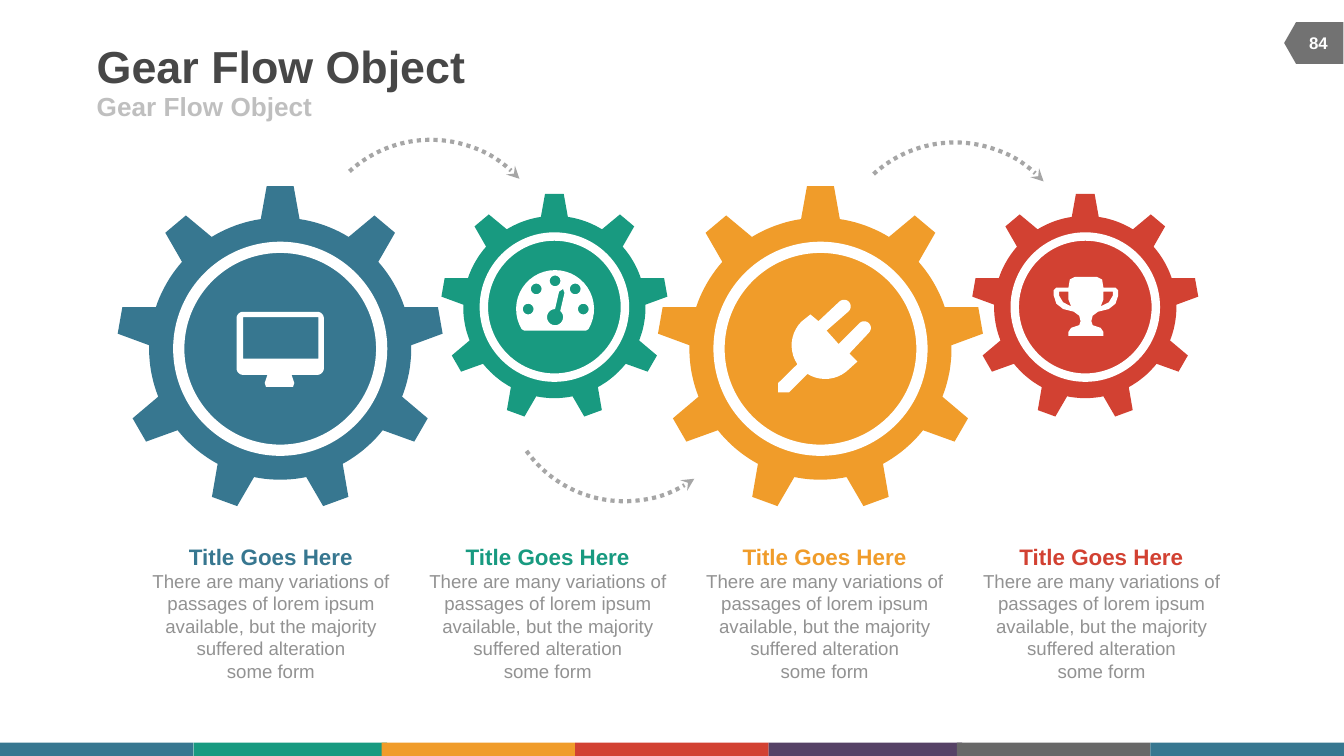
from math import cos, radians, sin

from lxml import etree
from pptx import Presentation
from pptx.dml.color import RGBColor
from pptx.enum.dml import MSO_LINE
from pptx.enum.shapes import MSO_SHAPE
from pptx.enum.text import MSO_ANCHOR, PP_ALIGN
from pptx.oxml.ns import qn
from pptx.util import Emu, Pt

PX = 9144  # EMU in one px, 100 px to the inch
SLIDE_WIDTH, SLIDE_HEIGHT = 1000, 562.5
RECTANGLE, OVAL, ARC = MSO_SHAPE.RECTANGLE, MSO_SHAPE.OVAL, MSO_SHAPE.ARC
PAGE_TAG = MSO_SHAPE.FLOWCHART_OFFPAGE_CONNECTOR
DOTTED = MSO_LINE.ROUND_DOT
TOP, MIDDLE = MSO_ANCHOR.TOP, MSO_ANCHOR.MIDDLE
LEFT, CENTER = PP_ALIGN.LEFT, PP_ALIGN.CENTER

WHITE = RGBColor(0xFF, 0xFF, 0xFF)
BLUE = RGBColor(0x37, 0x77, 0x90)
GREEN = RGBColor(0x18, 0x9A, 0x80)
ORANGE = RGBColor(0xF0, 0x9C, 0x2A)
RED = RGBColor(0xD2, 0x41, 0x32)
PURPLE = RGBColor(0x56, 0x42, 0x66)
GRAY = RGBColor(0x68, 0x68, 0x68)
TAG_GRAY = RGBColor(0x72, 0x72, 0x72)
ARROW_GRAY = RGBColor(0xA6, 0xA6, 0xA6)
TITLE_GRAY = RGBColor(0x47, 0x47, 0x47)
SUBTITLE_GRAY = RGBColor(0xBF, 0xBF, 0xBF)
BODY_GRAY = RGBColor(0x92, 0x92, 0x92)

TEETH = 9
DISC = 151  # diameter of the disc in a full-size gear
BODY_TEXT = ("There are many variations of passages of lorem ipsum available, "
             "but the majority suffered alteration\vsome form")


def px(*lengths):
    return [Emu(round(length * PX)) for length in lengths]


def arc_points(x, y, radius, start, end, steps=10):
    """Points on a circle; degrees run clockwise from the right."""
    angles = [radians(start + (end - start) * i / steps) for i in range(steps + 1)]
    return [(x + radius * cos(a), y + radius * sin(a)) for a in angles]


def mirrored(points, axis):
    return [(2 * axis - x, y) for x, y in reversed(points)]


def paint(shape, fill):
    shape.shadow.inherit = False
    shape.fill.solid()
    shape.fill.fore_color.rgb = fill
    shape.line.fill.background()


def add_shape(page, kind, bounds, fill, rotation=0):
    shape = page.shapes.add_shape(kind, *px(*bounds))
    shape.rotation = rotation
    paint(shape, fill)
    return shape


def add_outline(page, contours, fill):
    """Draw closed contours as one shape; inner contours become holes."""
    first, *holes = contours
    builder = page.shapes.build_freeform(*px(*first[0]), scale=1.0)
    builder.add_line_segments([px(*point) for point in first[1:]])
    for hole in holes:
        builder.move_to(*px(*hole[0]))
        builder.add_line_segments([px(*point) for point in hole[1:]])
    paint(builder.convert_to_shape(), fill)


def add_gear(page, left, top, size, ring, color):
    """Draw a toothed wheel around a disc with a white ring."""
    x, y, scale = left + size / 2, top + size / 2, size / DISC
    step = 360 / TEETH
    outline = []
    for tooth in range(TEETH):
        turn = radians(tooth * step)
        for across, up in ((-10, 121), (10, 121)):
            outline.append((x + scale * (across * cos(turn) + up * sin(turn)),
                            y + scale * (across * sin(turn) - up * cos(turn))))
        start = tooth * step - 90
        outline += arc_points(x, y, 97.5 * scale, start + 8.5, start + step - 8.5)
    add_outline(page, [outline], color)
    disc = add_shape(page, OVAL, (left, top, size, size), color)
    disc.line.color.rgb = WHITE
    disc.line.width = Pt(ring)


def add_arc_arrow(page, left, top, rotation, flipped=False):
    arc = page.shapes.add_shape(ARC, *px(left, top, 179, 179))
    arc.shadow.inherit = False
    arc.rotation = rotation
    arc.fill.background()
    arc.line.color.rgb = ARROW_GRAY
    arc.line.width = Pt(2.25)
    arc.line.dash_style = DOTTED
    properties = arc.element.spPr
    if flipped:
        properties.find(qn("a:xfrm")).set("flipV", "1")
    etree.SubElement(properties.find(qn("a:ln")), qn("a:tailEnd"), type="stealth")


def add_text(page, bounds, text, size, color, bold=True, align=CENTER,
             anchor=MIDDLE, wrap=True):
    box = page.shapes.add_textbox(*px(*bounds))
    frame = box.text_frame
    frame.margin_left = frame.margin_right = frame.margin_top = frame.margin_bottom = 0
    frame.word_wrap = wrap
    frame.vertical_anchor = anchor
    para = frame.paragraphs[0]
    para.text = text
    para.alignment = align
    for span in para.runs:
        span.font.name = "Arial"
        span.font.size = Pt(size)
        span.font.bold = bold
        span.font.color.rgb = color


def add_trophy(page):
    axis = 808
    side = [(816, 206), (820, 208), (821, 214), (830, 214), (832, 216), (832, 220),
            (830, 226), (825, 230), (817, 232), (813, 235), (812, 239), (813, 242),
            (819, 244), (821, 247), (821, 250)]
    handle = [(828, 217), (821, 217), (821, 223), (819, 228), (825, 225), (828, 220)]
    add_outline(page, [side + mirrored(side, axis), handle, mirrored(handle, axis)], WHITE)


def add_monitor(page):
    stand = [(217, 279), (219, 285), (218, 288), (198, 288), (197, 285), (199, 279)]
    case = (arc_points(181, 237, 5, 180, 270) + arc_points(236, 237, 5, 270, 360)
            + arc_points(236, 274, 5, 0, 90) + stand + arc_points(181, 274, 5, 90, 180))
    screen = [(181, 236), (181, 267), (237, 267), (237, 236)]
    add_outline(page, [case, screen], WHITE)


def add_gauge(page):
    dial = arc_points(413, 230, 29, 149, 391, 30) + [(436, 246), (390, 246)]
    marks = [arc_points(x, y, 4, 360, 0, 16) for x, y in
             ((393, 230), (399, 215), (413, 209), (428, 215), (434, 230))]
    needle = [(420, 218), (419, 215), (416, 217)] + arc_points(413, 236, 6, 270, -50, 20)
    add_outline(page, [dial, *marks, needle], WHITE)


def add_plug(page):
    cord = [(587, 292), (579, 292), (579, 285)]
    outline = (arc_points(614, 257, 25, 45, 122) + cord
               + arc_points(614, 257, 25, 146, 225)
               + [(603, 234), (609, 239)] + arc_points(628, 228, 5, 225, 405)
               + [(615, 246), (624, 256)] + arc_points(643, 244, 5, 225, 405)
               + [(632, 263), (638, 269)])
    add_outline(page, [outline], WHITE)


def main():
    deck = Presentation()
    deck.slide_width, deck.slide_height = px(SLIDE_WIDTH, SLIDE_HEIGHT)
    page = deck.slides.add_slide(deck.slide_layouts[6])

    strip = zip((0, 144, 284, 428, 572, 712, 856),
                (BLUE, GREEN, ORANGE, RED, PURPLE, GRAY, BLUE))
    for left, color in strip:
        add_shape(page, RECTANGLE, (left, SLIDE_HEIGHT - 10, 144, 10), color)
    add_shape(page, PAGE_TAG, (962, 10, 31, 44), TAG_GRAY, 90)
    add_text(page, (72, 29, 617, 39), "Gear Flow Object", 24, TITLE_GRAY,
             align=LEFT, wrap=False)
    add_text(page, (72, 68, 450, 22), "Gear Flow Object", 14, SUBTITLE_GRAY,
             align=LEFT, wrap=False)
    add_text(page, (960, 17, 42, 30), "84", 9, WHITE)

    for left, top, size, ring, color in ((133, 184, DISC, 6, BLUE),
                                         (360, 176, 105, 4.5, GREEN),
                                         (535, 184, DISC, 6, ORANGE),
                                         (755, 176, 105, 4.5, RED)):
        add_gear(page, left, top, size, ring, color)

    add_arc_arrow(page, 231, 104, 317.5)
    add_arc_arrow(page, 621, 106, 317.5)
    add_arc_arrow(page, 375, 194, 54.4, flipped=True)

    add_trophy(page)
    add_monitor(page)
    add_gauge(page)
    add_plug(page)

    for column, color in enumerate((BLUE, GREEN, ORANGE, RED)):
        left = 111 + 206 * column
        add_text(page, (left, 404, 181, 20), "Title Goes Here", 12, color)
        add_text(page, (left, 424, 181, 84), BODY_TEXT, 10, BODY_GRAY,
                 bold=False, anchor=TOP)

    deck.save("out.pptx")


if __name__ == "__main__":
    main()
